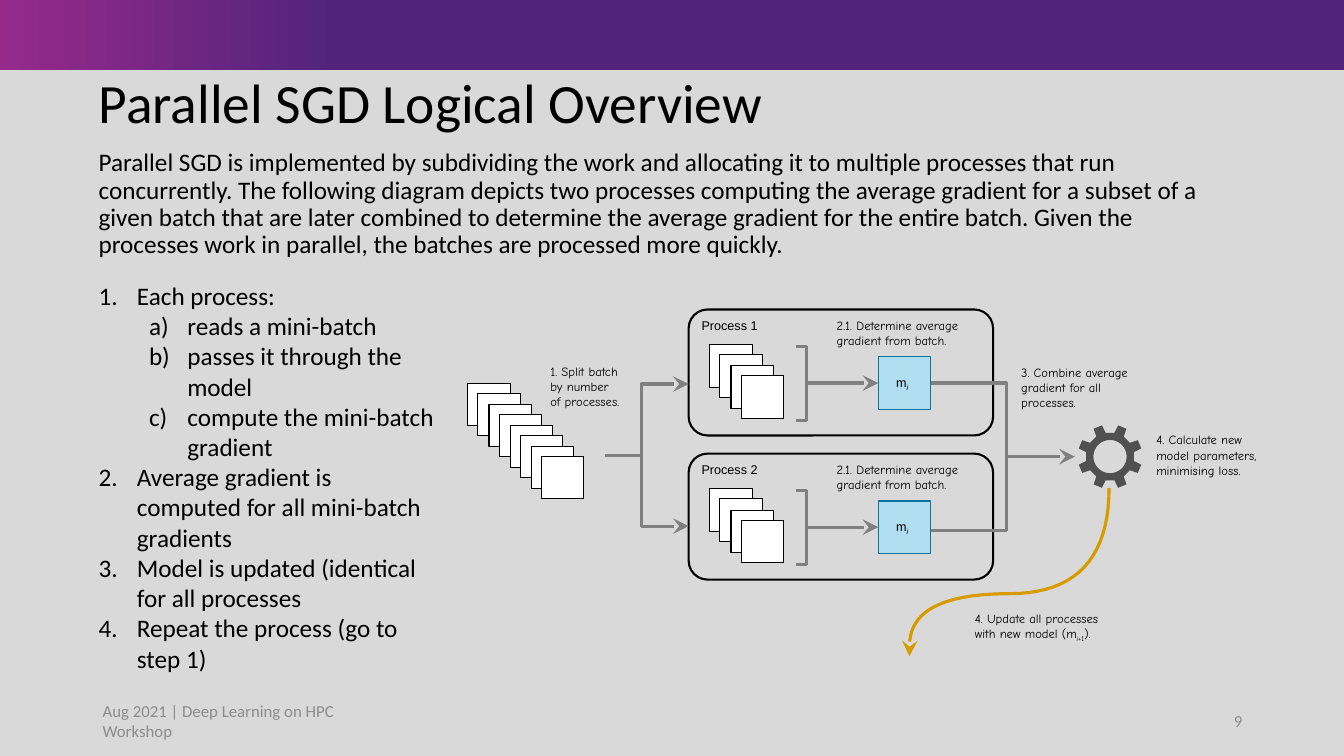
from math import cos, radians, sin

from lxml.etree import SubElement
from pptx import Presentation
from pptx.dml.color import RGBColor
from pptx.enum.shapes import MSO_CONNECTOR as Wire, MSO_SHAPE as Preset
from pptx.enum.text import MSO_ANCHOR as Anchor, MSO_AUTO_SIZE as Fit, PP_ALIGN as Align
from pptx.oxml.ns import qn
from pptx.util import Pt

PX = 9144
BLACK = RGBColor(0x00, 0x00, 0x00)
WHITE = RGBColor(0xFF, 0xFF, 0xFF)
GREY = RGBColor(0x80, 0x80, 0x80)
FOOTER_GREY = RGBColor(0x8C, 0x8C, 0x8C)
GEAR_GREY = RGBColor(0x50, 0x50, 0x50)
BACKDROP = RGBColor(0xD9, 0xD9, 0xD9)
PURPLE = RGBColor(0x51, 0x24, 0x7A)
MAGENTA = RGBColor(0x96, 0x2A, 0x8B)
SKY = RGBColor(0xB1, 0xDD, 0xF0)
TEAL = RGBColor(0x10, 0x73, 0x9E)
AMBER = RGBColor(0xD7, 0x9B, 0x00)

BODY, LABEL, NOTE = ("Calibri", 18), ("Arial", 9), ("Comic Neue", 9)
PROCESS_GAP = 143


def emu(*lengths):
    return [round(length * PX) for length in lengths]


def bezier(start, first, second, end, steps=20):
    for step in range(steps + 1):
        t = step / steps
        weights = ((1 - t) ** 3, 3 * t * (1 - t) ** 2, 3 * t * t * (1 - t), t ** 3)
        yield tuple(sum(weight * point[axis] for weight, point in zip(weights, (start, first, second, end)))
                    for axis in (0, 1))


def polar(center, radius, angle):
    return (center[0] + radius * cos(radians(angle)), center[1] + radius * sin(radians(angle)))


class Sketch:
    def __init__(self, deck):
        self.page = deck.slides.add_slide(deck.slide_layouts[6])
        self.page.background.fill.solid()
        self.page.background.fill.fore_color.rgb = BACKDROP
        self.shapes = self.page.shapes

    def paint(self, shape, fill=None, line=None, weight=0.75):
        shape.shadow.inherit = False
        if fill is None:
            shape.fill.background()
        else:
            shape.fill.solid()
            shape.fill.fore_color.rgb = fill
        if line is None:
            shape.line.fill.background()
        else:
            shape.line.color.rgb = line
            shape.line.width = Pt(weight)
        return shape

    def box(self, place, fill=None, line=None, weight=0.75, preset=Preset.RECTANGLE):
        return self.paint(self.shapes.add_shape(preset, *emu(*place)), fill, line, weight)

    def banner(self, place):
        fill = self.box(place).fill
        fill.gradient()
        fill.gradient_angle = 0
        for stop, position, color in zip(fill.gradient_stops, (0, 0.25), (MAGENTA, PURPLE)):
            stop.position = position
            stop.color.rgb = color

    def text(self, place, lines, style, color=BLACK, wrap=True, grow=True, anchor=Anchor.TOP,
             align=None, spacing=None, numbering=None):
        frame = self.shapes.add_textbox(*emu(*place)).text_frame
        frame.word_wrap = wrap
        frame.auto_size = Fit.SHAPE_TO_FIT_TEXT if grow else Fit.NONE
        frame.vertical_anchor = anchor
        for index, line in enumerate(lines):
            para = frame.add_paragraph() if index else frame.paragraphs[0]
            if numbering:
                self.number(para, numbering[index])
            for words, subscript, italic in [(line, False, False)] if isinstance(line, str) else line:
                span = para.add_run()
                span.text = words
                if italic:
                    span.font.italic = True
                if subscript:
                    span._r.get_or_add_rPr().set("baseline", "-25000")
            if align is not None:
                para.alignment = align
            if spacing is not None:
                para.line_spacing = spacing
            para.font.name, para.font.size = style[0], Pt(style[1])
            para.font.color.rgb = color

    def number(self, para, level):
        para.level = level
        margin, indent = emu(88 if level else 38, -38)
        properties = para._p.get_or_add_pPr()
        properties.set("marL", str(margin))
        properties.set("indent", str(indent))
        SubElement(properties, qn("a:buFont")).set("typeface", "+mj-lt")
        SubElement(properties, qn("a:buAutoNum")).set("type", "alphaLcParenR" if level else "arabicPeriod")

    def arrowheads(self, shape, *ends):
        line = shape.line._get_or_add_ln()
        for end in ends:
            head = SubElement(line, qn("a:" + end))
            for key, value in (("type", "stealth"), ("w", "lg"), ("len", "lg")):
                head.set(key, value)

    def outline(self, *contours, closed=False):
        builder = None
        for contour in contours:
            points = [tuple(emu(*point)) for point in contour]
            if builder is None:
                builder = self.shapes.build_freeform(*points[0], scale=1.0)
            else:
                builder.move_to(*points[0])
            builder.add_line_segments(points[1:], close=closed)
        return builder.convert_to_shape()

    def trace(self, points, color=GREY, ends=()):
        shape = self.paint(self.outline(points), None, color, 2.25)
        self.arrowheads(shape, *ends)

    def line(self, start, end, arrow=True, target=None):
        wire = self.shapes.add_connector(Wire.STRAIGHT, *emu(*start, *end))
        wire.line.color.rgb = GREY
        wire.line.width = Pt(2.25)
        if arrow:
            self.arrowheads(wire, "tailEnd")
        SubElement(wire._element.spPr, qn("a:effectLst"))
        if target is not None:
            wire.end_connect(target, 1)

    def stack(self, left, top, count):
        for index in range(count):
            shift = round(index * 10.43)
            self.box((left + shift, top + shift, 42, 42), WHITE, BLACK)

    def process(self, name, top):
        frame = self.box((683, top, 302, 125), None, BLACK, 1.5, Preset.ROUNDED_RECTANGLE)
        frame.adjustments[0] = 0.15
        self.text((686, top + 3, 78, 25), [name], LABEL, wrap=False)
        self.stack(704, top + 35, 4)
        self.trace([(789, top + 37), (800, top + 37), (800, top + 110), (789, top + 110)])
        model = self.box((871, top + 47, 52, 52), SKY, TEAL)
        self.line((800, top + 73), (871, top + 73), target=model)
        self.text((879, top + 60, 33, 25), [[("m", False, False), ("i", True, True)]], LABEL, wrap=False)
        self.text((820, top + 3, 165, 40), ["2.1. Determine average gradient from batch."], NOTE)

    def gear(self, center):
        teeth = [polar(center, radius, 22.5 + 45 * tooth + offset)
                 for tooth in range(8)
                 for offset, radius in ((-12, 24), (-8, 32), (8, 32), (12, 24))]
        hole = [polar(center, 16.5, -10 * step) for step in range(36)]
        self.paint(self.outline(teeth, hole, closed=True), GEAR_GREY)


def main():
    deck = Presentation()
    deck.slide_width, deck.slide_height = emu(1333, 750)
    sketch = Sketch(deck)
    sketch.banner((0, 0, 1333, 69))
    sketch.text((88, 68, 1146, 74), ["Parallel SGD Logical Overview"], ("Calibri", 39.6),
                grow=False, anchor=Anchor.MIDDLE, spacing=0.9)
    sketch.text((88, 144, 1146, 130), [
        "Parallel SGD is implemented by subdividing the work and allocating it to multiple processes "
        "that run concurrently. The following diagram depicts two processes computing the average "
        "gradient for a subset of a given batch that are later combined to determine the average "
        "gradient for the entire batch. Given the processes work in parallel, the batches are "
        "processed more quickly."], BODY, grow=False, spacing=0.9)

    for index in range(2):
        sketch.process(f"Process {index + 1}", 307 + index * PROCESS_GAP)

    sketch.stack(464, 380, 8)
    sketch.line((600, 452), (636, 452), arrow=False)
    sketch.trace([(683, 522), (636, 522), (636, 381), (683, 381)], ends=("headEnd", "tailEnd"))
    sketch.text((536, 356, 90, 56), ["1. Split batch by number of processes."], NOTE)

    sketch.trace([(923, 380), (998, 380), (998, 526), (923, 526)])
    sketch.line((998, 453), (1066, 453))
    sketch.text((1003, 357, 127, 56), ["3. Combine average", "gradient for all", "processes."],
                NOTE, wrap=False)

    sketch.gear((1101, 453))
    sketch.text((1137, 424, 125, 56), ["4. Calculate new", "model parameters,", "minimising loss."],
                NOTE, wrap=False)
    sketch.trace([*bezier((1100, 484), (1100, 554), (1067, 589), (1001, 589)),
                  *bezier((1001, 589), (935, 589), (902, 606), (902, 641)), (902, 651)],
                 AMBER, ("tailEnd",))
    sketch.text((957, 601, 144, 40), ["4. Update all processes", [
        ("with new model (m", False, False), ("i", True, True), ("+1", True, False),
        (").", False, False)]], NOTE, wrap=False)

    sketch.text((88, 273, 353, 434), [
        "Each process:", "reads a mini-batch", "passes it through the model",
        "compute the mini-batch gradient", "Average gradient is computed for all mini-batch gradients",
        "Model is updated (identical for all processes", "Repeat the process (go to step 1)",
    ], BODY, numbering=(0, 1, 1, 1, 0, 0, 0))
    sketch.text((92, 695, 300, 40), ["Aug 2021 | Deep Learning on HPC Workshop"], ("Calibri", 12),
                FOOTER_GREY, grow=False, anchor=Anchor.MIDDLE)
    sketch.text((942, 695, 300, 40), ["9"], ("Calibri", 12), FOOTER_GREY, grow=False,
                anchor=Anchor.MIDDLE, align=Align.RIGHT)
    deck.save("out.pptx")


if __name__ == "__main__":
    main()
